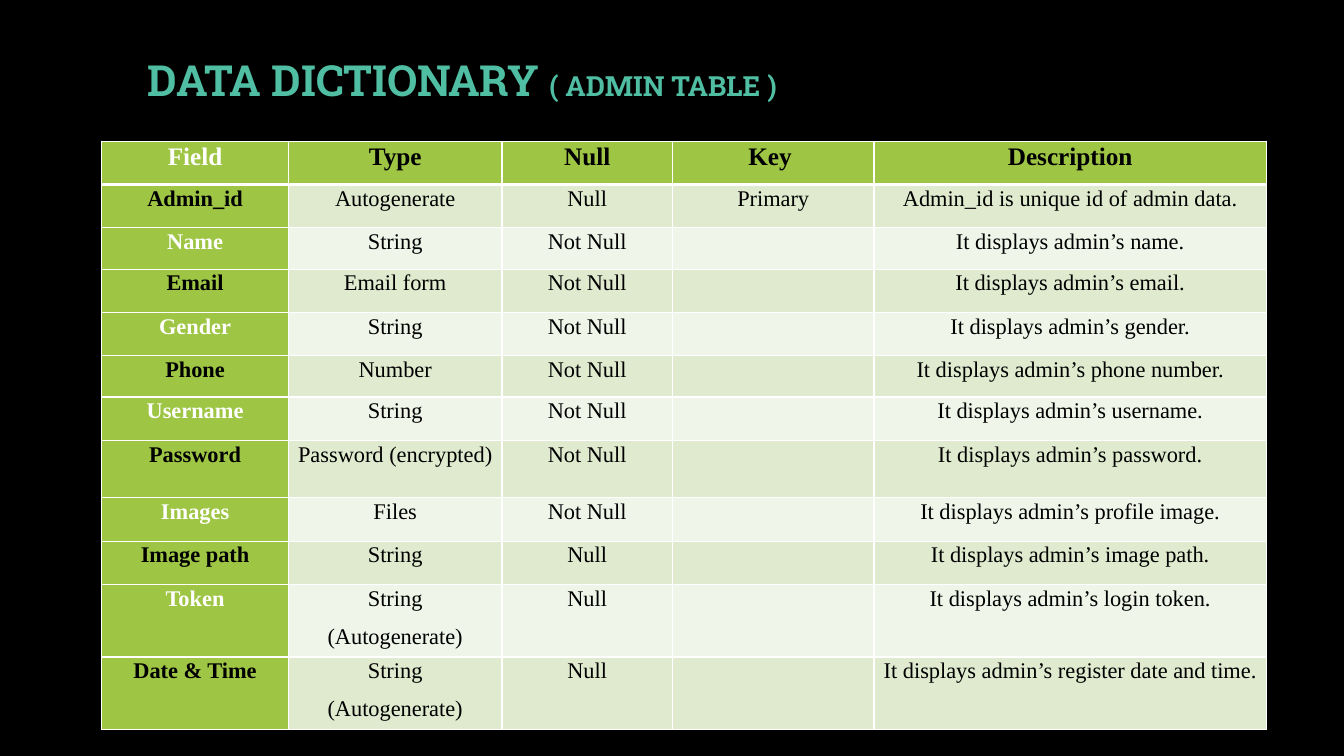
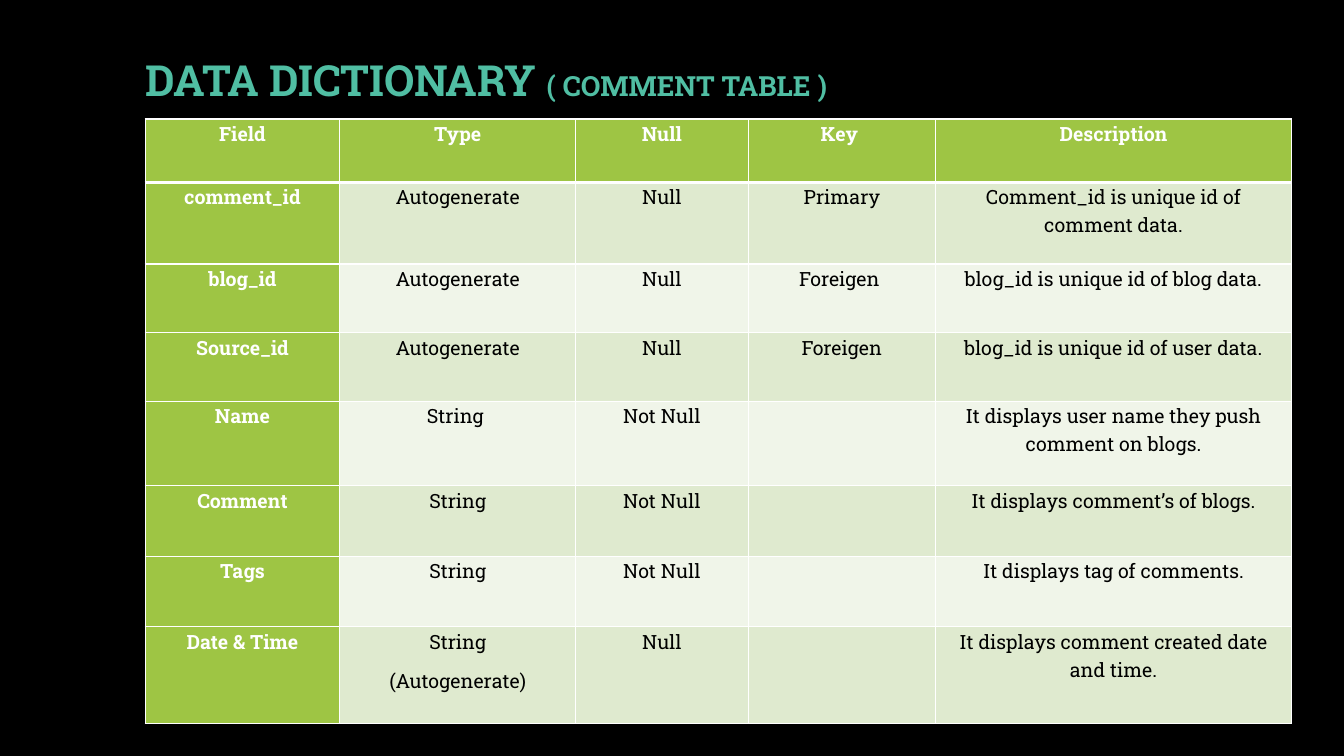
from pptx import Presentation
from pptx.dml.color import RGBColor
from pptx.enum.text import MSO_ANCHOR, PP_ALIGN
from pptx.oxml.ns import qn
from pptx.util import Inches, Pt
from lxml.etree import SubElement

COLORS = {
    "background": "000000",
    "title": "50BEA3",
    "green": "9EC544",
    "band_dark": "DFEACF",
    "band_light": "F0F5E9",
    "white": "FFFFFF",
    "black": "000000",
}
SLAB = "Roboto Slab"
SERIF = "Times New Roman"
HEADER = ("Field", "Type", "Null", "Key ", "Description")

ADMIN_ROWS = [
    HEADER,
    ("Admin_id", "Autogenerate", "Null", "Primary", "Admin_id is unique id of admin data."),
    ("Name", "String", "Not Null", "", "It displays admin’s name."),
    ("Email", "Email form", "Not Null", "", "It displays admin’s email."),
    ("Gender", "String", "Not Null", "", "It displays admin’s gender."),
    ("Phone", "Number", "Not Null", "", "It displays admin’s phone number."),
    ("Username", "String", "Not Null", "", "It displays admin’s username."),
    ("Password", "Password (encrypted)", "Not Null", "", "It displays admin’s password."),
    ("Images", "Files", "Not Null", "", "It displays admin’s profile image."),
    ("Image path", "String", "Null", "", "It displays admin’s image path."),
    ("Token", "String\n(Autogenerate)", "Null", "", "It displays admin’s login token."),
    ("Date & Time", "String\n(Autogenerate)", "Null", "",
     "It displays admin’s register date and time."),
]
COMMENT_ROWS = [
    HEADER,
    ("comment_id", "Autogenerate", "Null", "Primary", "Comment_id is unique id of comment data."),
    ("blog_id", "Autogenerate", "Null", "Foreigen ", "blog_id is unique id of blog data."),
    ("Source_id", "Autogenerate", "Null", "Foreigen", "blog_id is unique id of user data."),
    ("Name", "String ", "Not Null", "", "It displays user name they push comment on blogs."),
    ("Comment", "String", "Not Null", "", "It displays comment’s of blogs."),
    ("Tags", "String", "Not Null", "", "It displays tag of comments."),
    ("Date & Time", "String\n(Autogenerate)", "Null", "",
     "It displays comment created date and time."),
]


def rgb(name):
    return RGBColor.from_string(COLORS[name])


def add_text(p, text, font=SLAB, size=14, color="black", bold=False):
    r = p.add_run()
    r.text = text
    r.font.name = font
    r.font.size = Pt(size)
    r.font.bold = bold
    r.font.color.rgb = rgb(color)


def add_title(slide, subtitle, box):
    sp = slide.shapes.add_textbox(*map(Inches, box))
    tf = sp.text_frame
    tf.word_wrap = True
    tf.vertical_anchor = MSO_ANCHOR.MIDDLE
    p = tf.paragraphs[0]
    p.alignment = PP_ALIGN.CENTER
    p.line_spacing = 0.9
    add_text(p, "DATA DICTIONARY ", size=30.6, color="title", bold=True)
    add_text(p, subtitle, size=19.8, color="title", bold=True)


def set_borders(cell, top=1, bottom=1):
    tc_pr = cell._tc.get_or_add_tcPr()
    for side, width in (("L", 1), ("R", 1), ("T", top), ("B", bottom)):
        ln = SubElement(tc_pr, qn(f"a:ln{side}"), w=str(Pt(width)))
        fill = SubElement(ln, qn("a:solidFill"))
        SubElement(fill, qn("a:srgbClr"), val=COLORS["white"])


def cell_fill(row, col):
    if row == 0 or col == 0:
        return "green"
    return "band_dark" if row % 2 else "band_light"


def label_color(row, col, two_tone):
    """Colour of header and field names; two_tone alternates white and black."""
    if two_tone and (col > 0 or row % 2):
        return "black"
    return "white"


def add_dictionary(slide, rows, left, top, widths, heights, font, size,
                   header_size, inset, two_tone=False):
    frame = slide.shapes.add_table(
        len(rows), len(widths), Inches(left), Inches(top),
        Inches(sum(widths)), Inches(sum(heights)))
    table = frame.table
    table.first_row = table.horz_banding = False
    for column, width in zip(table.columns, widths):
        column.width = Inches(width)
    for line, height in zip(table.rows, heights):
        line.height = Inches(height)

    for i, values in enumerate(rows):
        for j, value in enumerate(values):
            cell = table.cell(i, j)
            cell.margin_left = cell.margin_right = Inches(inset)
            cell.margin_top = cell.margin_bottom = 0
            # Heavy rule between the header and the body
            set_borders(cell, top=3 if i == 1 else 1, bottom=3 if i == 0 else 1)
            cell.fill.solid()
            cell.fill.fore_color.rgb = rgb(cell_fill(i, j))
            if not value:
                continue
            label = i == 0 or j == 0
            tf = cell.text_frame
            for n, text in enumerate(value.split("\n")):
                p = tf.add_paragraph() if n else tf.paragraphs[0]
                p.alignment = PP_ALIGN.CENTER
                p.line_spacing = 1.07
                p.space_after = Pt(8)
                add_text(p, text, font=font, bold=label,
                         size=size if i else header_size,
                         color=label_color(i, j, two_tone) if label else "black")


def new_slide(prs):
    s = prs.slides.add_slide(prs.slide_layouts[6])
    s.background.fill.solid()
    s.background.fill.fore_color.rgb = rgb("background")
    return s


def main():
    prs = Presentation()
    prs.slide_width, prs.slide_height = Inches(13.33), Inches(7.5)

    # Admin table
    s = new_slide(prs)
    add_title(s, "( ADMIN TABLE )", (1.01, 0.44, 7.15, 0.75))
    add_dictionary(
        s, ADMIN_ROWS, 1.01, 1.4,
        widths=(1.85, 2.12, 1.69, 2, 3.89),
        heights=(0.43, 0.43, 0.41, 0.43, 0.43, 0.41, 0.43, 0.57, 0.43, 0.43, 0.72, 0.72),
        font=SERIF, size=16, header_size=18, inset=0.07, two_tone=True)

    # Comment table
    s = new_slide(prs)
    add_title(s, "( COMMENT TABLE ) ", (1.01, 0.44, 7.69, 0.75))
    add_dictionary(
        s, COMMENT_ROWS, 1.44, 1.18,
        widths=(1.93, 2.34, 1.71, 1.86, 3.53),
        heights=(0.63, 0.81, 0.68, 0.68, 0.84, 0.7, 0.7, 0.96),
        font=SLAB, size=14, header_size=14, inset=0.05)

    prs.save("out.pptx")


if __name__ == "__main__":
    main()
